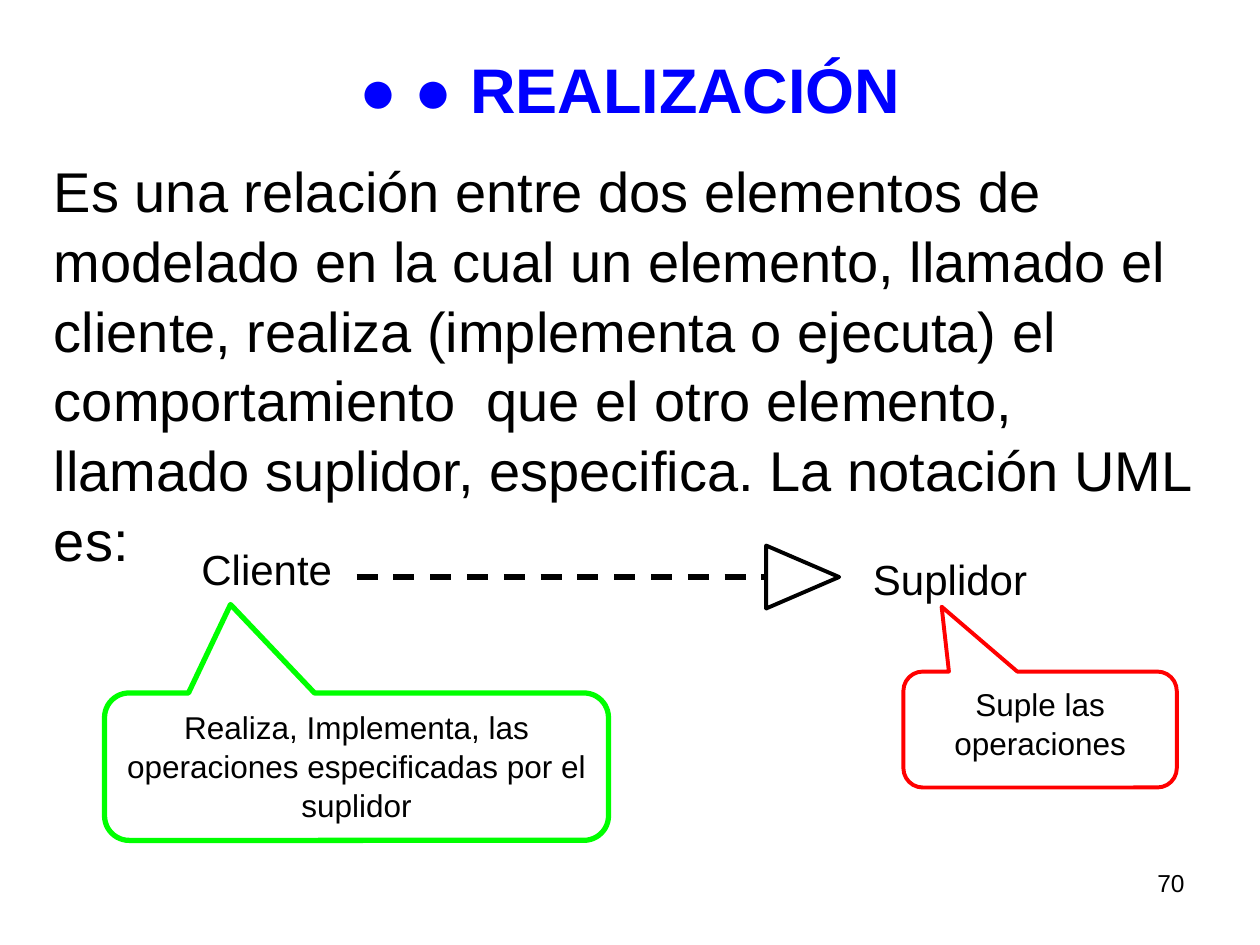
from lxml.etree import SubElement
from pptx import Presentation
from pptx.dml.color import RGBColor
from pptx.enum.dml import MSO_LINE
from pptx.enum.shapes import MSO_CONNECTOR, MSO_SHAPE
from pptx.enum.text import MSO_ANCHOR, PP_ALIGN
from pptx.oxml.ns import qn
from pptx.util import Inches, Pt

BLACK, BLUE, RED, GREEN = "000000", "0000FF", "FF0000", "00FF00"
DEFINITION = (
    "Es una relación entre dos elementos de modelado en la cual un elemento, "
    "llamado el cliente, realiza (implementa o ejecuta) el comportamiento  que "
    "el otro elemento, llamado suplidor, especifica. La notación UML es:"
)


def color(value):
    """Turn a hex string into a colour."""
    return RGBColor.from_string(value)


def place(shape, box):
    """Move and size a shape to a box given in inches."""
    shape.left, shape.top, shape.width, shape.height = map(Inches, box)


def write(shape, text, size, align=PP_ALIGN.LEFT, ink=BLACK, bold=False,
          anchor=MSO_ANCHOR.TOP):
    """Write one formatted paragraph into a shape."""
    frame = shape.text_frame
    frame.word_wrap = True
    frame.vertical_anchor = anchor
    para = frame.paragraphs[0]
    para.text = text
    para.alignment = align
    para.line_spacing = 1.04
    para.space_before = Pt(0)
    para.font.name = "Arial"
    para.font.size = Pt(size)
    para.font.bold = bold
    para.font.color.rgb = color(ink)


def add_title(page, box, text):
    """Place the slide title."""
    title = page.shapes.title
    place(title, box)
    write(title, text, 36, PP_ALIGN.CENTER, BLUE, True, MSO_ANCHOR.MIDDLE)


def add_text(page, box, text, size, align=PP_ALIGN.LEFT):
    """Place a plain text box."""
    write(page.shapes.add_textbox(*map(Inches, box)), text, size, align)


def add_outline(page, preset, box, ink, weight):
    """Place an unfilled preset shape and return it."""
    shape = page.shapes.add_shape(preset, *map(Inches, box))
    shape.shadow.inherit = False
    shape.fill.background()
    shape.line.color.rgb = color(ink)
    shape.line.width = Pt(weight)
    return shape


def add_callout(page, box, text, ink, weight, tip):
    """Place a rounded callout whose tip is relative to its centre."""
    callout = add_outline(page, MSO_SHAPE.ROUNDED_RECTANGULAR_CALLOUT, box, ink, weight)
    for index, value in enumerate((*tip, 0.167)):
        callout.adjustments[index] = value
    write(callout, text, 18, PP_ALIGN.CENTER)


def add_realization(page, box):
    """Place the dashed line and its hollow arrowhead inside a box."""
    left, top, width, height = box
    head_length = 0.58
    middle, base = top + height / 2, left + width - head_length
    line = page.shapes.add_connector(
        MSO_CONNECTOR.STRAIGHT, *map(Inches, (left, middle, base, middle)))
    line.line.color.rgb = color(BLACK)
    line.line.width = Pt(3)
    line.line.dash_style = MSO_LINE.DASH
    SubElement(line._element.spPr, qn("a:effectLst"))
    head_box = (base + (head_length - height) / 2, middle - head_length / 2,
                height, head_length)
    head = add_outline(page, MSO_SHAPE.ISOSCELES_TRIANGLE, head_box, BLACK, 2.25)
    head.rotation = 90


def main():
    """Build and save the slide."""
    deck = Presentation()
    deck.slide_width, deck.slide_height = Inches(10), Inches(7.5)
    page = deck.slides.add_slide(deck.slide_layouts[5])
    add_title(page, (0.5, 0.3, 9, 0.78), "● ● REALIZACIÓN")
    add_text(page, (0.33, 1.17, 9.33, 3.3), DEFINITION, 32)
    add_realization(page, (2.83, 4.33, 3.83, 0.5))
    add_text(page, (6.83, 4.33, 1.58, 0.5), "Suplidor", 24)
    add_text(page, (1.5, 4.25, 1.33, 0.5), "Cliente", 24)
    add_callout(page, (7.17, 5.33, 2.17, 0.92), "Suple las operaciones",
                RED, 2.25, (-0.36, -1.06))
    add_callout(page, (0.83, 5.5, 4, 1.17),
                "Realiza, Implementa, las operaciones especificadas por el suplidor",
                GREEN, 3, (-0.25, -1.1))
    add_text(page, (7.17, 6.83, 2.33, 0.52), "70", 14, PP_ALIGN.RIGHT)
    deck.save("out.pptx")


if __name__ == "__main__":
    main()
